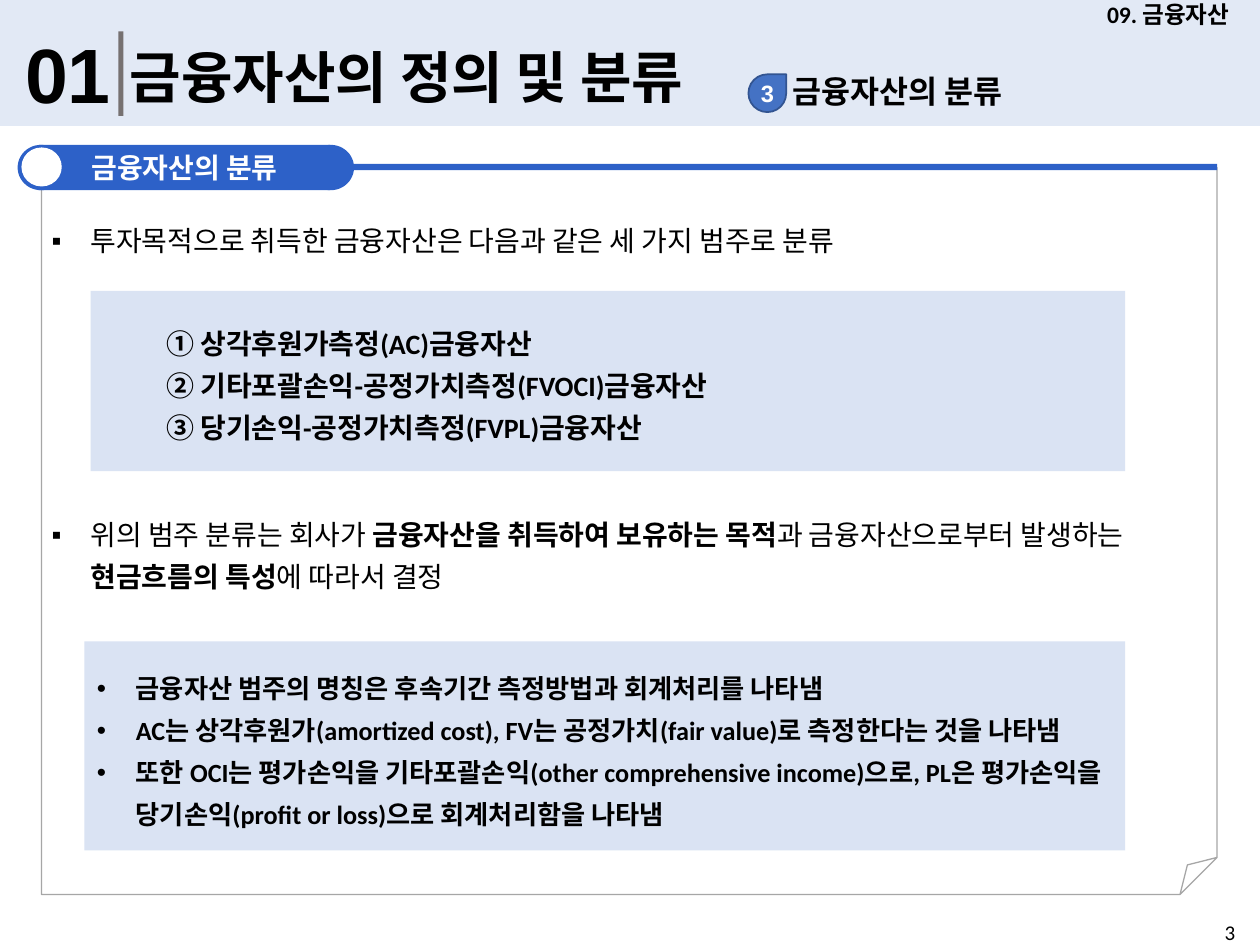
from lxml.etree import SubElement
from pptx import Presentation
from pptx.dml.color import RGBColor
from pptx.enum.shapes import MSO_SHAPE as SHAPE
from pptx.enum.text import MSO_ANCHOR as ANCHOR, MSO_AUTO_SIZE as AUTO, PP_ALIGN as ALIGN
from pptx.oxml.ns import qn
from pptx.util import Inches, Pt

COLORS = {"pale": "DAE3F3", "blue": "2D61C8", "badge": "4472C4", "badge_line": "325491",
          "bar": "767171", "frame": "A6A6A6", "white": "FFFFFF", "black": "000000"}
KOREAN = "Noto Sans CJK KR"


def add_box(kind, at, fill=None, line=None, width=0.75):
    """Add a preset shape, or a text box when kind is None."""
    box = [Inches(v) for v in at]
    if kind is None:
        return s.shapes.add_textbox(*box)
    sp = s.shapes.add_shape(kind, *box)
    sp.shadow.inherit = False
    if fill:
        sp.fill.solid()
        sp.fill.fore_color.rgb = RGBColor.from_string(COLORS[fill])
    else:
        sp.fill.background()
    if line:
        sp.line.color.rgb = RGBColor.from_string(COLORS[line])
        sp.line.width = Pt(width)
    else:
        sp.line.fill.background()
    return sp


def write(sp, paragraphs, size, font="Calibri", color="black", bold=True, align=ALIGN.LEFT,
          anchor=ANCHOR.TOP, wrap=True, inset=None, spacing=None, margin=0, bullet=None):
    """Write paragraphs; each is a string or a list of (text, bold) runs."""
    tf = sp.text_frame
    tf.auto_size, tf.word_wrap, tf.vertical_anchor = AUTO.NONE, wrap, anchor
    if inset is not None:
        tf.margin_left = tf.margin_right = tf.margin_top = tf.margin_bottom = Inches(inset)
    for i, runs in enumerate(paragraphs):
        p = tf.add_paragraph() if i else tf.paragraphs[0]
        p.alignment, p.space_before = align, Pt(0)
        if spacing:
            p.line_spacing = Pt(spacing)
        pPr = p._p.get_or_add_pPr()
        pPr.set("marL", str(Inches(margin)))
        pPr.set("indent", str(-Inches(margin) if bullet else 0))
        if bullet:
            SubElement(pPr, qn("a:buFont")).set("typeface", "Arial")
            SubElement(pPr, qn("a:buChar")).set("char", bullet)
        for text, strong in [(runs, bold)] if isinstance(runs, str) else runs:
            r = p.add_run()
            r.text = text
            r.font.size, r.font.name, r.font.bold = Pt(size), font, strong
            r.font.color.rgb = RGBColor.from_string(COLORS[color])
            SubElement(r._r.get_or_add_rPr(), qn("a:ea")).set("typeface", KOREAN)


prs = Presentation()
prs.slide_width, prs.slide_height = Inches(10), Inches(7.5)
s = prs.slides.add_slide(prs.slide_layouts[1])
title, body = s.shapes.title, s.placeholders[1]

# Header band
band = add_box(SHAPE.RECTANGLE, (0, 0, 10, 1), "pale")
band_color = next(band.element.iter(qn("a:srgbClr")))
SubElement(band_color, qn("a:alpha")).set("val", "76000")
write(add_box(None, (0.1, 0.16, 0.91, 0.84)), ["01"], 44, "Arial", wrap=False)
add_box(SHAPE.RECTANGLE, (0.94, 0.25, 0.04, 0.67), "bar")
write(add_box(None, (8.54, 0, 1.46, 0.23)), ["09. 금융자산"], 13.5,
      align=ALIGN.CENTER, anchor=ANCHOR.MIDDLE)

# Section badge and name
write(add_box(None, (6.19, 0.52, 3.09, 0.4)), ["금융자산의 분류"], 18)
badge = add_box(SHAPE.TEAR, (5.94, 0.59, 0.3, 0.3), "badge", "badge_line", 1)
write(badge, ["3"], 13.5, "Arial", "white", align=ALIGN.CENTER, anchor=ANCHOR.MIDDLE,
      wrap=False, inset=0)

# Page frame with rule and rounded tab
frame = add_box(SHAPE.FOLDED_CORNER, (0.33, 1.33, 9.33, 5.77), line="frame")
fold = SubElement(next(frame.element.iter(qn("a:avLst"))), qn("a:gd"))
fold.set("name", "adj")
fold.set("fmla", "val 5100")
add_box(SHAPE.RECTANGLE, (0.33, 1.3, 9.33, 0.05), "blue")
for left in (0.14, 2.44):
    add_box(SHAPE.OVAL, (left, 1.15, 0.37, 0.36), "blue")
tab = add_box(SHAPE.RECTANGLE, (0.31, 1.15, 2.31, 0.36), "blue")
write(tab, ["금융자산의 분류"], 16, color="white", align=ALIGN.CENTER, anchor=ANCHOR.MIDDLE)
add_box(SHAPE.OVAL, (0.17, 1.17, 0.32, 0.31), "white")

# Title and main list, placed above the band and frame
for ph, at in ((title, (0.93, 0.29, 4.99, 0.64)), (body, (0.41, 1.71, 9.17, 3.2))):
    ph.left, ph.top, ph.width, ph.height = [Inches(v) for v in at]
    s.shapes.element.append(ph.element)
write(title, ["금융자산의 정의 및 분류"], 32, wrap=False)
write(body, [
    "투자목적으로 취득한 금융자산은 다음과 같은 세 가지 범주로 분류",
    [("위의 범주 분류는 회사가 ", False), ("금융자산을 취득하여 보유하는 목적", True),
     ("과 금융자산으로부터 발생하는 ", False), ("현금흐름의 특성", True),
     ("에 따라서 결정", False)],
], 16, KOREAN, bold=False, inset=0, spacing=24, margin=0.31, bullet="▪")
body.text_frame.paragraphs[1].space_before = Pt(6 * 24)

# Three categories
categories = add_box(SHAPE.RECTANGLE, (0.72, 2.31, 8.21, 1.43), "pale")
write(categories, [
    "① 상각후원가측정(AC)금융자산",
    "② 기타포괄손익-공정가치측정(FVOCI)금융자산",
    "③ 당기손익-공정가치측정(FVPL)금융자산",
], 16, anchor=ANCHOR.MIDDLE, spacing=24, margin=0.5)

# Notes on the category names
naming = add_box(SHAPE.RECTANGLE, (0.67, 5.09, 8.26, 1.66), "pale")
write(naming, [
    "금융자산 범주의 명칭은 후속기간 측정방법과 회계처리를 나타냄",
    "AC는 상각후원가(amortized cost), FV는 공정가치(fair value)로 측정한다는 것을 나타냄",
    "또한 OCI는 평가손익을 기타포괄손익(other comprehensive income)으로, "
    "PL은 평가손익을 당기손익(profit or loss)으로 회계처리함을 나타냄",
], 15, anchor=ANCHOR.MIDDLE, spacing=24, margin=0.31, bullet="•")

# Page number
write(add_box(None, (9.62, 7.25, 0.38, 0.25)), ["3"], 12, bold=False, wrap=False)

prs.save("out.pptx")
